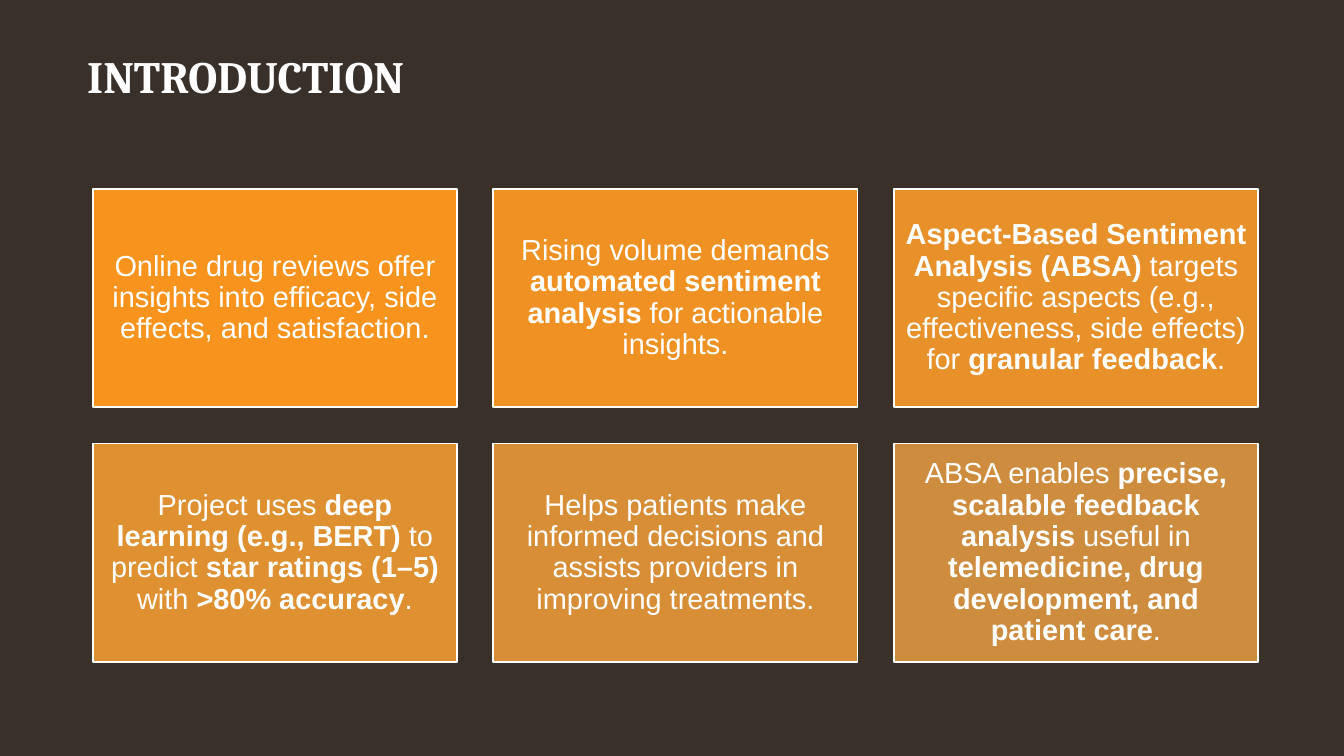
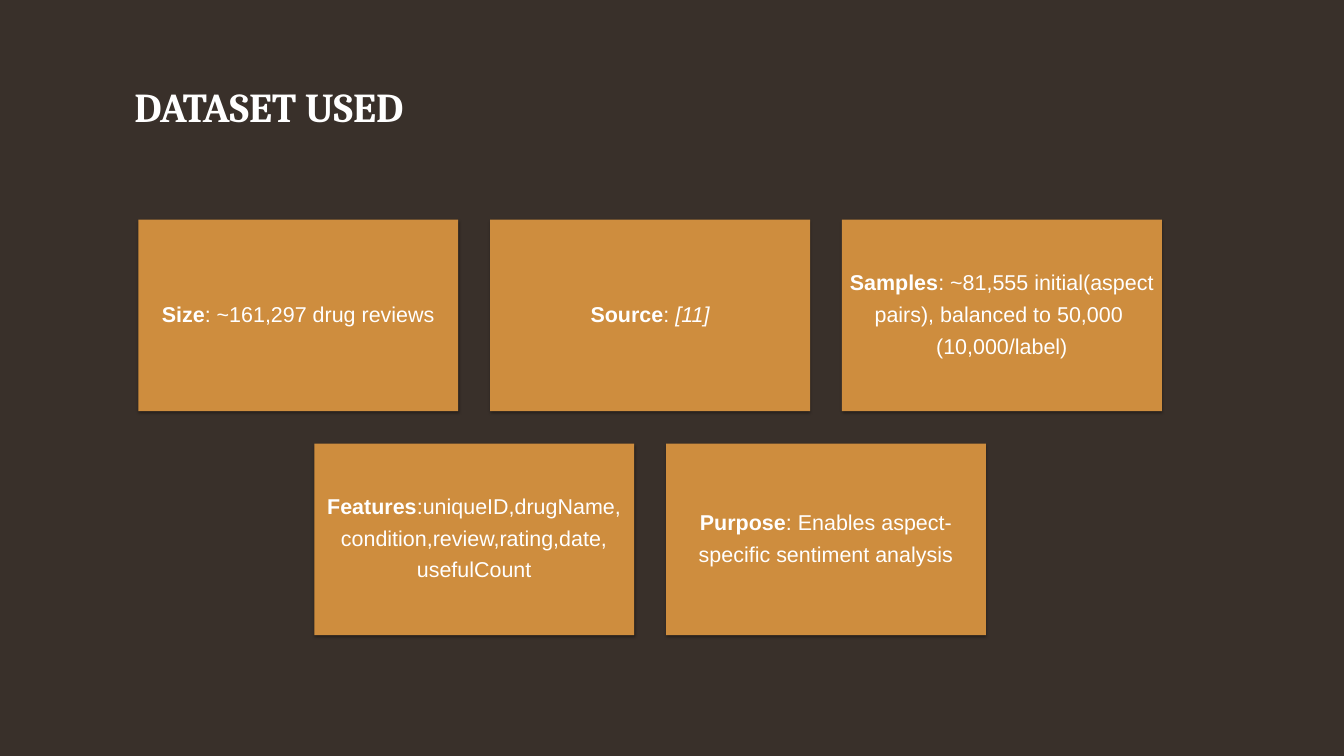
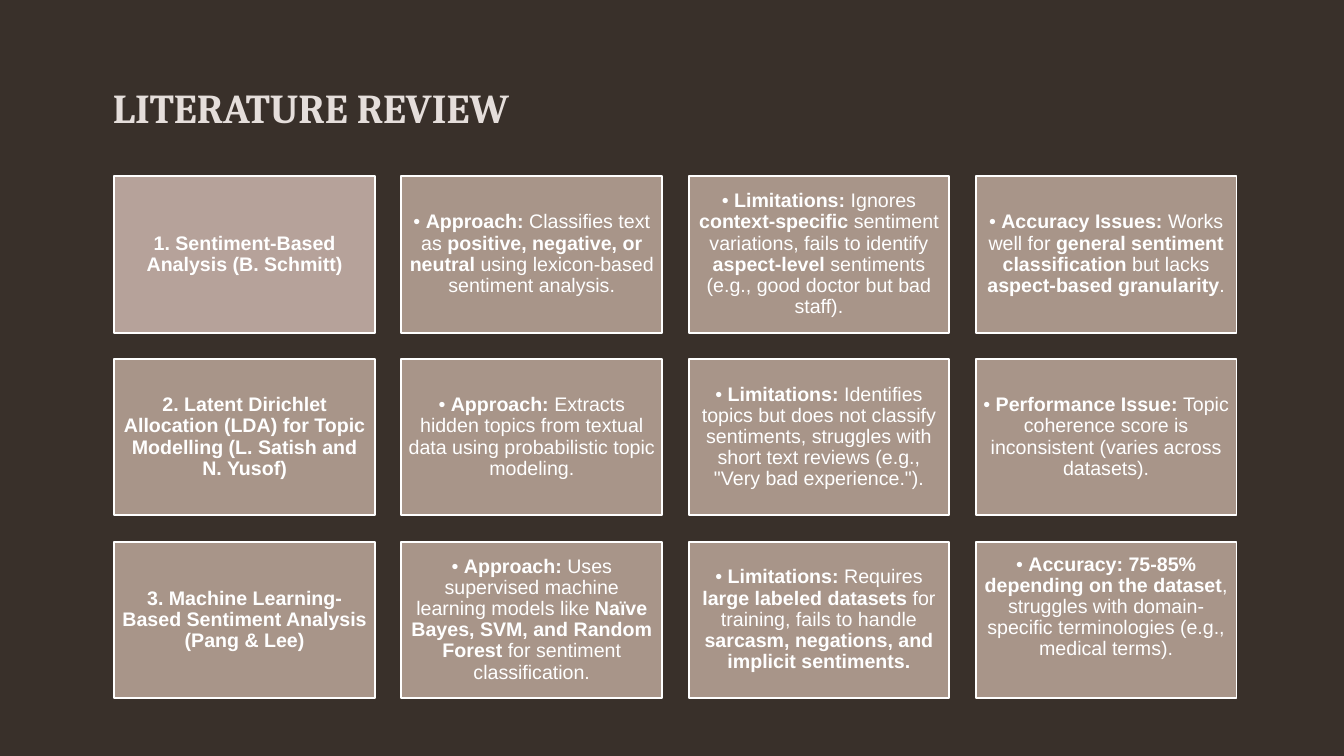
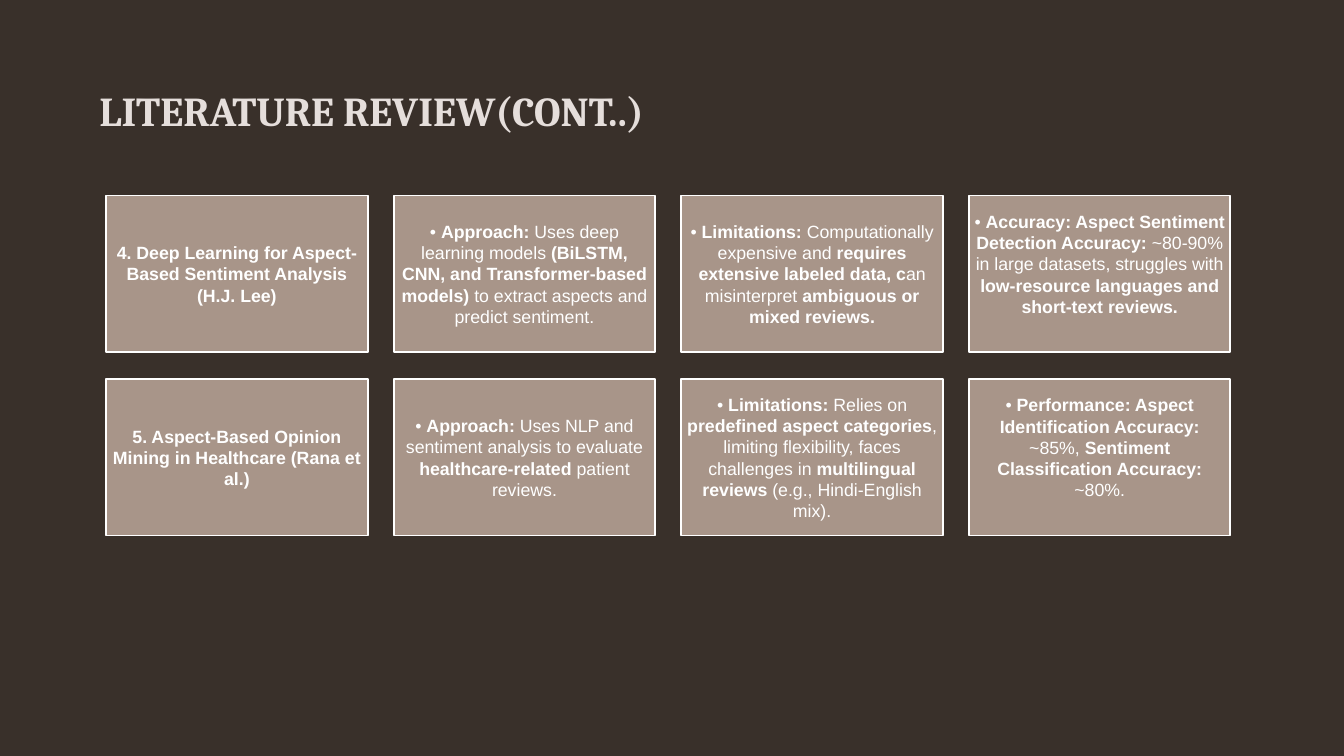
from dataclasses import dataclass, field

from lxml.etree import SubElement
from pptx import Presentation
from pptx.dml.color import RGBColor
from pptx.enum.shapes import MSO_SHAPE
from pptx.enum.text import MSO_ANCHOR, PP_ALIGN
from pptx.oxml.ns import qn
from pptx.util import Inches, Pt

COLORS = {
    "background": "39302A",
    "white": "FFFFFF",
    "cream": "E5DEDB",
    "amber 1": "F8931D",
    "amber 2": "F09223",
    "amber 3": "E8912A",
    "amber 4": "DF9030",
    "amber 5": "D78E37",
    "amber 6": "CE8D3E",
    "rose": "B6A29A",
    "taupe": "A89589",
    "black": "000000",
}
TITLE_FONT = "Cambria"
BODY_FONT = "Arial"


@dataclass
class Box:
    left: float
    top: float
    width: float
    height: float

    def lengths(self):
        return [Inches(value) for value in (self.left, self.top, self.width, self.height)]


@dataclass
class CardStyle:
    size: float
    inset: float
    line_spacing: float = 0.9
    outlined: bool = True
    lifts: dict = field(default_factory=dict)


def color(name):
    return RGBColor.from_string(COLORS[name])


def set_insets(frame, inset, bottom=None):
    frame.margin_left = frame.margin_right = frame.margin_top = Inches(inset)
    frame.margin_bottom = Inches(inset if bottom is None else bottom)


def add_page(deck):
    page = deck.slides.add_slide(deck.slide_layouts[6])
    page.background.fill.solid()
    page.background.fill.fore_color.rgb = color("background")
    return page


def add_title(page, box, text, size=44, tint="white", line_spacing=0.9,
              anchor=MSO_ANCHOR.MIDDLE, insets=None):
    frame = page.shapes.add_textbox(*box.lengths()).text_frame
    frame.word_wrap = True
    frame.vertical_anchor = anchor
    if insets:
        set_insets(frame, *insets)
    paragraph = frame.paragraphs[0]
    paragraph.text = text
    paragraph.line_spacing = line_spacing
    font = paragraph.font
    font.name, font.size, font.bold = TITLE_FONT, Pt(size), True
    font.color.rgb = color(tint)


def add_spans(paragraph, marked_text):
    for bold_index, part in enumerate(marked_text.split("*")):
        for italic_index, words in enumerate(part.split("_")):
            if words:
                span = paragraph.add_run()
                span.text = words
                if bold_index % 2:
                    span.font.bold = True
                if italic_index % 2:
                    span.font.italic = True


def add_soft_shadow(shape):
    effects = shape._element.spPr.find(qn("a:effectLst"))
    shadow = SubElement(effects, qn("a:outerShdw"), blurRad=str(Pt(3.1)),
                        dist=str(Pt(1.8)), dir="5400000", rotWithShape="0")
    tint = SubElement(shadow, qn("a:srgbClr"), val=COLORS["black"])
    SubElement(tint, qn("a:alpha"), val="35000")


def add_card(page, box, text, fill, style, lift=0):
    card = page.shapes.add_shape(MSO_SHAPE.RECTANGLE, *box.lengths())
    card.shadow.inherit = False
    card.fill.solid()
    card.fill.fore_color.rgb = color(fill)
    if style.outlined:
        card.line.color.rgb = color("white")
        card.line.width = Pt(2)
    else:
        card.line.fill.background()
        add_soft_shadow(card)
    frame = card.text_frame
    frame.word_wrap = True
    frame.vertical_anchor = MSO_ANCHOR.MIDDLE
    set_insets(frame, style.inset, style.inset + lift)
    for index, line in enumerate(text.split("\n")):
        paragraph = frame.add_paragraph() if index else frame.paragraphs[0]
        paragraph.alignment = PP_ALIGN.CENTER
        paragraph.line_spacing = style.line_spacing
        paragraph.space_after = Pt(round(style.size * 0.4))
        font = paragraph.font
        font.name, font.size = BODY_FONT, Pt(style.size)
        font.color.rgb = color("white")
        add_spans(paragraph, line)


def add_card_grid(page, box, rows, fills, card_width, card_height, style):
    columns = max(len(row) for row in rows)
    step_x = (box.width - card_width) / (columns - 1)
    step_y = (box.height - card_height) / (len(rows) - 1)
    fills = iter(fills)
    for row_index, row in enumerate(rows):
        row_left = box.left + (columns - len(row)) * step_x / 2
        for column, text in enumerate(row):
            card_box = Box(row_left + column * step_x, box.top + row_index * step_y,
                           card_width, card_height)
            add_card(page, card_box, text, next(fills), style,
                     style.lifts.get((row_index, column), 0))


def build_introduction(deck):
    page = add_page(deck)
    add_title(page, Box(1.2, 0.6, 17.43, 2.14), "INTRODUCTION", size=48, insets=(0.1, 1.1))
    rows = [
        ["Online drug reviews offer insights into efficacy, side effects, and satisfaction.",
         "Rising volume demands *automated sentiment analysis* for actionable insights.",
         "*Aspect-Based Sentiment Analysis (ABSA)* targets specific aspects "
         "(e.g., effectiveness, side effects) for *granular feedback*."],
        ["Project uses *deep learning (e.g., BERT)* to predict *star ratings (1–5)* "
         "with *>80% accuracy*.",
         "Helps patients make informed decisions and assists providers in "
         "improving treatments.",
         "ABSA enables *precise, scalable feedback analysis* useful in "
         "*telemedicine, drug development, and patient care*."],
    ]
    fills = [f"amber {number}" for number in range(1, 7)]
    add_card_grid(page, Box(1.38, 2.81, 17.34, 7.04), rows, fills, 5.42, 3.25,
                  CardStyle(31, 0.13))


def build_dataset(deck):
    page = add_page(deck)
    add_title(page, Box(1.9, 0, 9.89, 3.26), "DATASET USED")
    rows = [
        ["*Size*: ~161,297 drug reviews",
         "*Source*: _[11]_",
         "*Samples*: ~81,555 initial(aspect \npairs), balanced to 50,000 \n(10,000/label)"],
        ["*Features*:uniqueID,drugName,\ncondition,review,rating,date,\nusefulCount",
         "*Purpose*: Enables aspect-\nspecific sentiment analysis"],
    ]
    add_card_grid(page, Box(2.06, 3.27, 15.23, 6.18), rows, ["amber 6"] * 5, 4.76, 2.85,
                  CardStyle(23, 0.1, outlined=False))


def build_review(deck, title, title_box, title_insets, grid_box, rows, fills, card_width, style):
    page = add_page(deck)
    add_title(page, title_box, title, tint="cream", line_spacing=2,
              anchor=MSO_ANCHOR.TOP, insets=title_insets)
    add_card_grid(page, grid_box, rows, fills, card_width, 2.33, style)


def build_first_review(deck):
    rows = [
        ["*1. Sentiment-Based Analysis (B. Schmitt)*",
         "• *Approach: *Classifies text as *positive, negative, or neutral* using "
         "lexicon-based sentiment analysis.",
         "• *Limitations: *Ignores *context-specific* sentiment variations, fails to "
         "identify *aspect-level *sentiments (e.g., good doctor but bad staff).",
         "• *Accuracy Issues: *Works well for *general sentiment classification* but "
         "lacks *aspect-based granularity*."],
        ["*2. Latent Dirichlet Allocation (LDA) for Topic Modelling (L. Satish and N. Yusof)*",
         "• *Approach: *Extracts hidden topics from textual data using probabilistic "
         "topic modeling.",
         "• *Limitations: *Identifies topics but does not classify sentiments, struggles "
         "with short text reviews (e.g., \"Very bad experience.\").",
         "• *Performance Issue: *Topic coherence score is inconsistent "
         "(varies across datasets)."],
        ["*3. Machine Learning-Based Sentiment Analysis (Pang & Lee)*",
         "• *Approach: *Uses supervised machine learning models like *Naïve Bayes, SVM, "
         "and Random Forest *for sentiment classification.",
         "• *Limitations: *Requires *large labeled datasets* for training, fails to "
         "handle* sarcasm, negations, and implicit sentiments.*",
         "• *Accuracy: 75-85% depending on the dataset*, struggles with domain-specific "
         "terminologies (e.g., medical terms)."],
    ]
    build_review(deck, "LITERATURE REVIEW", Box(1.68, 0.49, 7.59, 1.48), (0,),
                 Box(1.7, 2.62, 16.7, 7.77), rows, ["rose"] + ["taupe"] * 11, 3.88,
                 CardStyle(21, 0.09, lifts={(2, 3): 0.38}))


def build_second_review(deck):
    rows = [
        ["*4. Deep Learning for Aspect-Based Sentiment Analysis (H.J. Lee)*",
         "• *Approach: *Uses deep learning models *(BiLSTM, CNN, and Transformer-based "
         "models) *to extract aspects and predict sentiment.",
         "• *Limitations: *Computationally expensive and *requires extensive labeled "
         "data, c*an misinterpret *ambiguous or mixed reviews.*",
         "• *Accuracy: Aspect Sentiment Detection Accuracy: *~80-90% in large datasets, "
         "struggles with *low-resource languages and short-text reviews.*"],
        ["*5. Aspect-Based Opinion Mining in Healthcare (Rana et al.)*",
         "• *Approach: *Uses NLP and sentiment analysis to evaluate *healthcare-related "
         "*patient reviews.",
         "• *Limitations: *Relies on *predefined aspect categories*, limiting flexibility, "
         "faces challenges in *multilingual reviews *(e.g., Hindi-English mix).",
         "• *Performance: Aspect Identification Accuracy: *~85%, *Sentiment "
         "Classification Accuracy: *~80%."],
    ]
    build_review(deck, "LITERATURE REVIEW(CONT..)", Box(1.38, 0.49, 9.46, 1.36), None,
                 Box(1.58, 2.91, 16.73, 5.06), rows, ["taupe"] * 8, 3.89,
                 CardStyle(19, 0.08, line_spacing=1.0, lifts={(0, 3): 0.3, (1, 3): 0.3}))


def main():
    deck = Presentation()
    deck.slide_width = Inches(20)
    deck.slide_height = Inches(11.25)
    build_introduction(deck)
    build_dataset(deck)
    build_first_review(deck)
    build_second_review(deck)
    deck.save("out.pptx")


if __name__ == "__main__":
    main()
